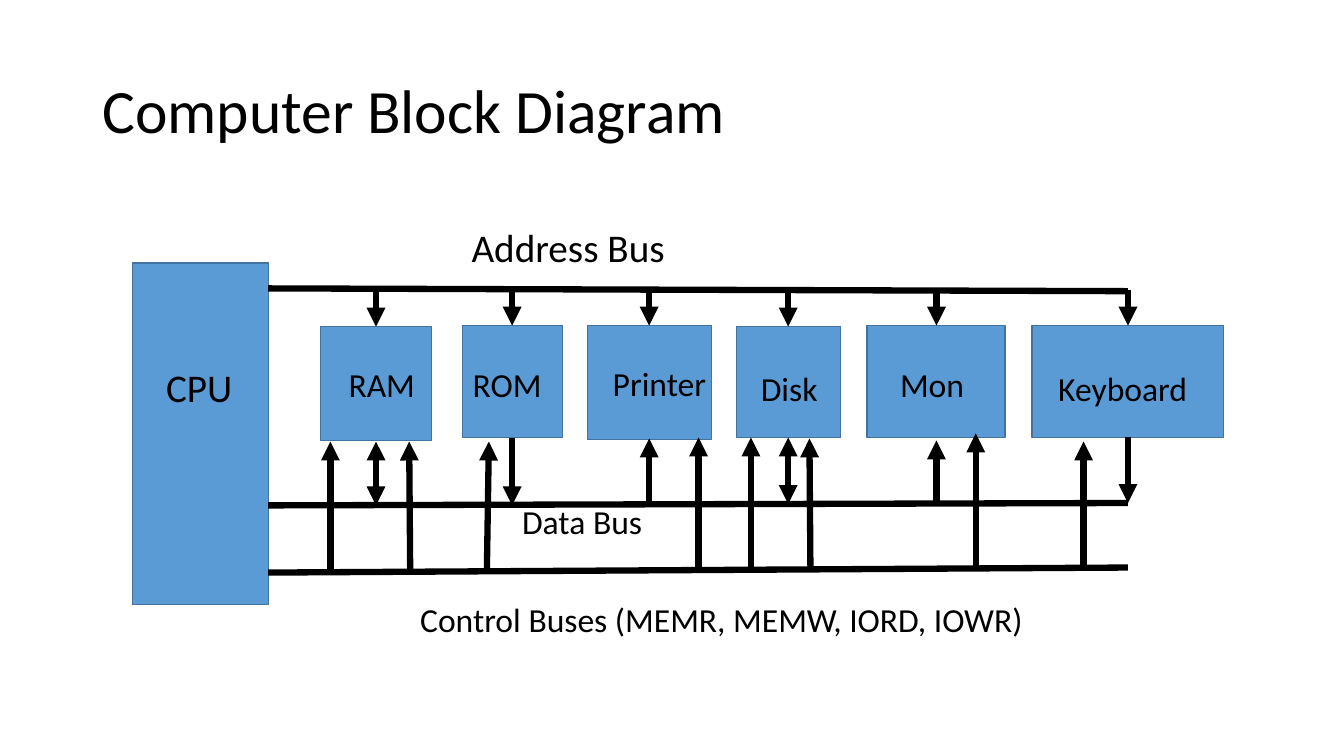
"""Build the computer block diagram slide."""
from lxml import etree
from pptx import Presentation
from pptx.dml.color import RGBColor
from pptx.enum.shapes import MSO_CONNECTOR, MSO_SHAPE
from pptx.enum.text import MSO_ANCHOR
from pptx.oxml.ns import qn
from pptx.util import Pt

COLORS = {"box": "5B9BD5", "edge": "43739E", "ink": "000000"}
RGB = {name: RGBColor.from_string(value) for name, value in COLORS.items()}

prs = Presentation()
prs.slide_width, prs.slide_height = Pt(960), Pt(540)
s = prs.slides.add_slide(prs.slide_layouts[6])


def add_text(text, x, y, w, h, size, **frame):
    tf = s.shapes.add_textbox(Pt(x), Pt(y), Pt(w), Pt(h)).text_frame
    for key, value in {"word_wrap": True, **frame}.items():
        setattr(tf, key, value)
    p = tf.paragraphs[0]
    r = p.add_run()
    r.text = text
    for key, value in {"name": "Calibri", "size": Pt(size)}.items():
        setattr(r.font, key, value)
    r.font.color.rgb = RGB["ink"]
    return p


def add_line(x1, y1, x2, y2, ends=()):
    sp = s.shapes.add_connector(MSO_CONNECTOR.STRAIGHT, Pt(x1), Pt(y1), Pt(x2), Pt(y2))
    sp.line.width = Pt(4.5)
    sp.line.color.rgb = RGB["ink"]
    ln = sp.line._get_or_add_ln()
    for end in ends:
        etree.SubElement(ln, qn(f"a:{end}"), type="triangle")
    etree.SubElement(sp._element.spPr, qn("a:effectLst"))


title = add_text("Computer Block Diagram", 66, 28.75, 828, 104.4, 44,
                 vertical_anchor=MSO_ANCHOR.MIDDLE)
title.line_spacing = 0.9

blocks = [
    ("CPU", 28, (94.5, 188, 97.2, 244), (111.6, 256.3, 69.8)),
    ("RAM", 24, (229, 233.3, 79.2, 81.4), (241.9, 256.3, 64.1)),
    ("ROM", 24, (330.5, 232.6, 71.3, 79.9), (330.5, 256.3, 71.3)),
    ("Printer", 24, (419.8, 232.6, 88.6, 81.4), (430.6, 255.6, 88.6)),
    ("Disk", 24, (526.3, 233.3, 74.2, 79.2), (536.4, 259.2, 62.6)),
    ("Mon", 24, (619.2, 232.6, 98.6, 79.9), (635.8, 256.3, 82.1)),
    ("Keyboard", 24, (737.3, 232.6, 136.8, 79.9), (748.8, 259.2, 130.3)),
]
for name, size, box, label in blocks:
    sp = s.shapes.add_shape(MSO_SHAPE.RECTANGLE, *map(Pt, box))
    sp.shadow.inherit = False
    sp.fill.solid()
    sp.fill.fore_color.rgb = RGB["box"]
    sp.line.color.rgb = RGB["edge"]
    sp.line.width = Pt(1)
    add_text(name, *label, size * 1.5, size)

bus_left, bus_right = 191.5, 805.7
for y_left, y_right in [(206, 208), (361, 359.3), (409, 405.4)]:
    add_line(bus_left, y_left, bus_right, y_right)

device_x = ram, rom, printer, disk, mon, keyboard = 268.6, 365.8, 463.7, 563, 668.9, bus_right
for x, (_, _, box, _) in zip(device_x, blocks[1:]):
    add_line(x, 207, x, box[1], ["tailEnd"])

data_arrows = [
    (ram, 361, 315.4, ["headEnd", "tailEnd"]),
    (rom, 313.2, 361, ["tailEnd"]),
    (printer, 360, 313.2, ["tailEnd"]),
    (disk, 360, 312.5, ["headEnd", "tailEnd"]),
    (mon, 359.3, 314.6, ["tailEnd"]),
    (keyboard, 312.5, 359.3, ["tailEnd"]),
]
for x, start, end, ends in data_arrows:
    add_line(x, start, x, end, ends)

control_arrows = [
    (236, 236, 315.4), (293, 292.3, 315.4), (347.8, 349.2, 315.4), (499, 499, 312.5),
    (536.4, 536.4, 312.5), (578.9, 578.2, 313.2), (697, 697, 309.6), (774, 774, 315.4),
]
for start, end, top in control_arrows:
    add_line(start, 407, end, top, ["tailEnd"])

for text, x, y, w, size in [
    ("Address Bus", 329.8, 156.2, 230.4, 28),
    ("Data Bus", 365.8, 354.2, 113.8, 24),
    ("Control Buses (MEMR, MEMW, IORD, IOWR)", 293, 424, 468.7, 24),
]:
    add_text(text, x, y, w, size * 1.5, size)

prs.save("out.pptx")
